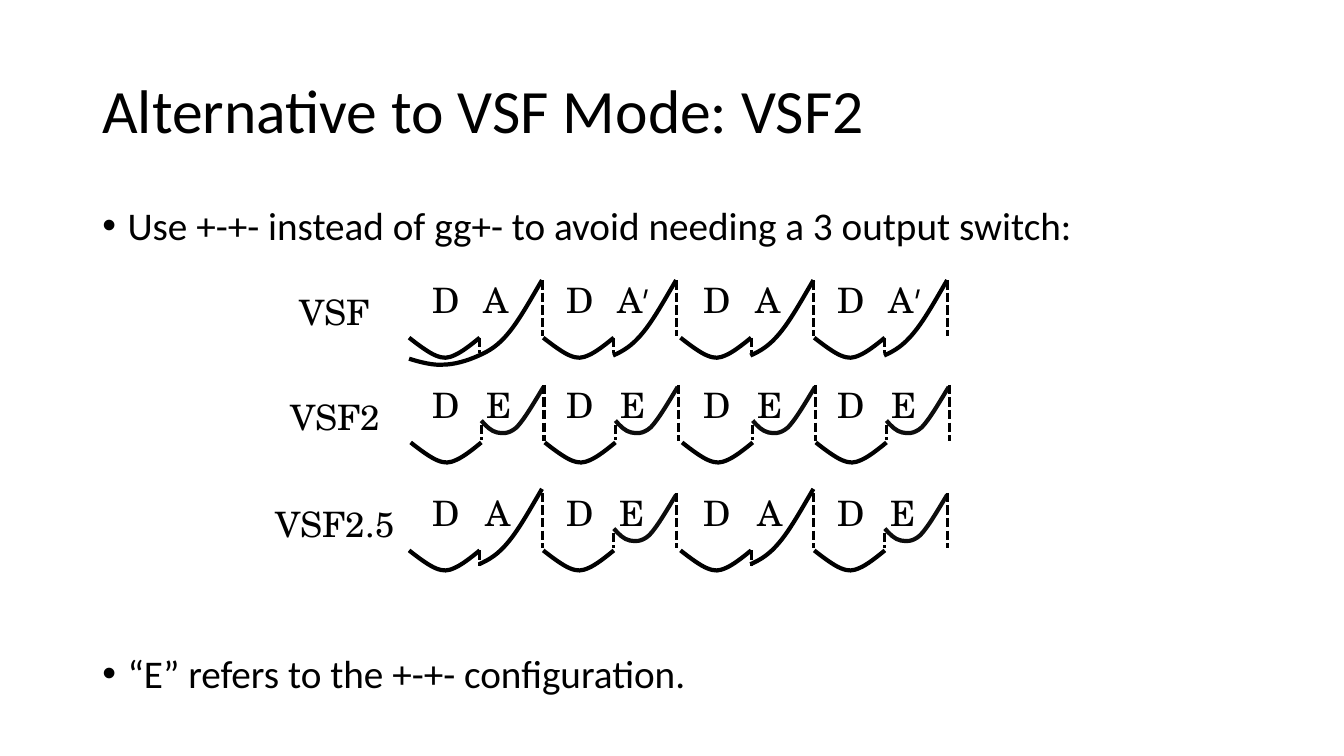
from lxml.etree import SubElement
from pptx import Presentation
from pptx.dml.color import RGBColor
from pptx.enum.dml import MSO_LINE
from pptx.enum.text import MSO_ANCHOR, PP_ALIGN
from pptx.oxml.ns import qn
from pptx.util import Cm, Pt

# Content
TITLE = "Alternative to VSF Mode: VSF2"
POINTS = [
    ("Use +-+- instead of gg+- to avoid needing a 3 output switch:", 10),
    ("“E” refers to the +-+- configuration.", 290),
]
MODES = [  # top, second letter offset and rise offset are in cm
    {"label": "VSF", "top": 7.06, "letters": ["A", "A′", "A", "A′"],
     "second": 1.63, "rise": 0, "shift": 0, "full_first": True},
    {"label": "VSF2", "top": 9.7, "letters": ["E", "E", "E", "E"],
     "second": 1.7, "rise": 0, "shift": 0.04, "full_first": False},
    {"label": "VSF2.5", "top": 12.42, "letters": ["A", "E", "A", "E"],
     "second": 1.68, "rise": -0.1, "shift": 0, "full_first": False},
]

# Geometry in cm: Bézier points are relative to a period's left and a row's top
PERIODS = [10.31, 13.69, 17.15, 20.52]
SPLIT, END = 1.78, 3.36
D_CURVE = [(0, 1.45), (0.24, 1.64), (0.5, 1.83), (0.67, 1.9), (0.87, 1.98),
           (0.97, 1.97), (1.15, 1.89), (1.33, 1.81), (1.55, 1.64), (SPLIT, 1.45)]
A_CURVE = [(3.35, 0), (3.05, 0.51), (2.77, 1.02), (2.49, 1.35),
           (2.24, 1.65), (2.03, 1.78), (1.76, 1.9)]
A_TAIL = [(1.47, 2.03), (1.14, 2.13), (0.84, 2.13), (0.53, 2.16), (0, 1.98), (0, 1.98)]
E_CURVE = [(SPLIT, 0.9), (1.9, 1.04), (2.03, 1.17), (2.18, 1.2), (2.31, 1.22),
           (2.46, 1.25), (2.67, 1.07), (2.87, 0.86), (3.1, 0.46), (3.35, 0.05)]
STEPS = {"A": (1.45, 1.84), "E": (1.0, 1.38)}
FALL = (0, 1.4)

# Format
BLACK = RGBColor(0, 0, 0)
NEAR_BLACK = RGBColor(0x0D, 0x0D, 0x0D)
TITLE_FONT = {"name": "Calibri", "size": Pt(44)}
BODY_FONT = {"name": "Calibri", "size": Pt(28)}
DIAGRAM_FONT = {"name": "TeX Gyre Schola", "size": Pt(25)}

deck = Presentation()
deck.slide_width, deck.slide_height = Cm(33.87), Cm(19.05)
slide = deck.slides.add_slide(deck.slide_layouts[6])


def add_frame(left, top, width, height, anchor=MSO_ANCHOR.TOP):
    frame = slide.shapes.add_textbox(Cm(left), Cm(top), Cm(width), Cm(height)).text_frame
    frame.word_wrap = True
    frame.vertical_anchor = anchor
    return frame


def write(paragraph, wording, font, **layout):
    run = paragraph.add_run()
    run.text = wording
    run.font.color.rgb = BLACK
    for name, value in font.items():
        setattr(run.font, name, value)
    for name, value in layout.items():
        setattr(paragraph, name, value)


def add_bullet(paragraph):
    props = paragraph._p.get_or_add_pPr()
    props.set("marL", str(Cm(0.635)))
    props.set("indent", str(-Cm(0.635)))
    SubElement(props, qn("a:buFont")).set("typeface", "Arial")
    SubElement(props, qn("a:buChar")).set("char", "•")


def add_curve(points, left, top, color=BLACK):
    corners = [(Cm(left + x), Cm(top + y)) for x, y in points]
    builder = slide.shapes.build_freeform(*corners[0])
    builder.add_line_segments(corners[1:], close=False)
    curve = builder.convert_to_shape()
    curve.shadow.inherit = False
    curve.fill.background()
    curve.line.color.rgb = color
    curve.line.width = Pt(3)
    # Turn every three straight segments into one Bézier segment
    outline = next(curve._element.iter(qn("a:path")))
    segments = outline.findall(qn("a:lnTo"))
    for start in range(0, len(segments), 3):
        bezier = SubElement(outline, qn("a:cubicBezTo"))
        for segment in segments[start:start + 3]:
            bezier.append(segment[0])
            outline.remove(segment)


def add_dashes(x, top, span):
    start, end = span
    dashes = slide.shapes.add_connector(1, Cm(x), Cm(top + start), Cm(x), Cm(top + end))
    for name, value in {"width": Pt(2.25), "dash_style": MSO_LINE.SQUARE_DOT}.items():
        setattr(dashes.line, name, value)
    dashes.line.color.rgb = BLACK
    SubElement(dashes._element.spPr, qn("a:effectLst"))


# Title and points
title = add_frame(2.33, 1.01, 29.21, 3.68, MSO_ANCHOR.MIDDLE)
write(title.paragraphs[0], TITLE, TITLE_FONT, line_spacing=0.9)

body = add_frame(2.33, 5.07, 29.21, 12.88)
for number, (point, gap) in enumerate(POINTS):
    paragraph = body.add_paragraph() if number else body.paragraphs[0]
    write(paragraph, point, BODY_FONT, line_spacing=0.9, space_before=Pt(gap))
    add_bullet(paragraph)

# One row of four periods per mode
for mode in MODES:
    top = mode["top"]
    label = add_frame(6.36, top + 0.13, 4.17, 1.32)
    write(label.paragraphs[0], mode["label"], DIAGRAM_FONT, alignment=PP_ALIGN.CENTER)

    for number, (period, letter) in enumerate(zip(PERIODS, mode["letters"])):
        left = period + mode["shift"]
        kind = letter[0]
        add_curve(D_CURVE, left, top)
        if kind == "E":
            add_curve(E_CURVE, left, top, NEAR_BLACK)
        else:
            tail = A_TAIL if mode["full_first"] and number == 0 else []
            add_curve(A_CURVE + tail, left, top + mode["rise"])
        add_dashes(left + SPLIT, top, STEPS[kind])
        add_dashes(left + END, top, FALL)
        for wording, offset in (("D", 0.33), (letter, mode["second"])):
            caption = add_frame(period + offset, top - 0.17, 1.57, 1.32)
            write(caption.paragraphs[0], wording, DIAGRAM_FONT)

deck.save("out.pptx")
